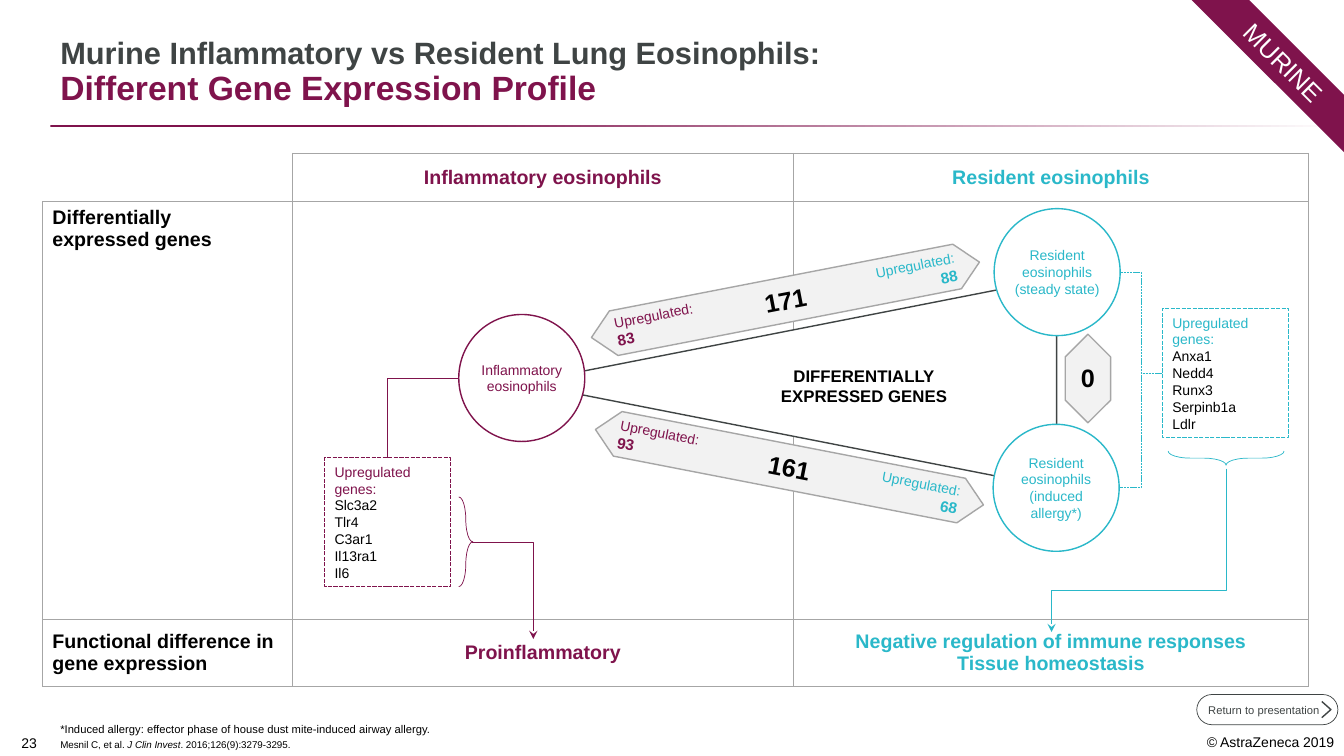
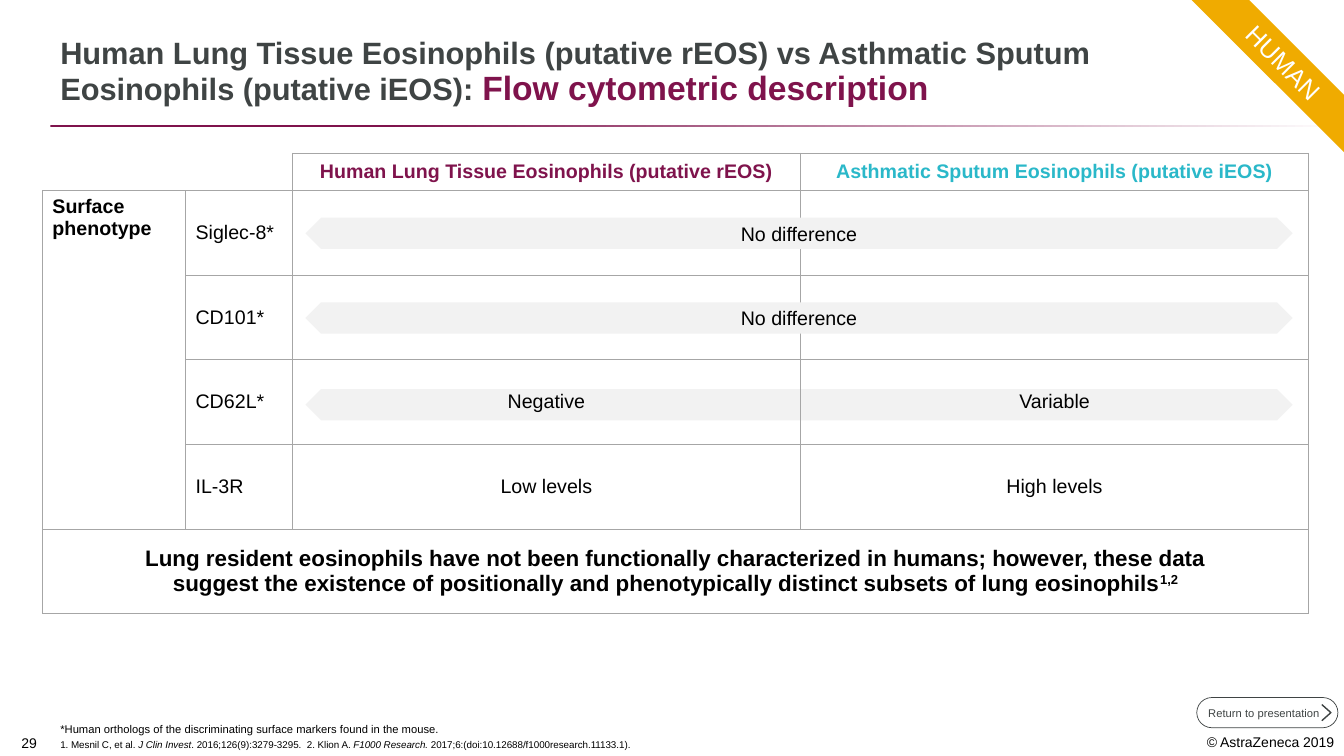
from pptx import Presentation
from pptx.dml.color import RGBColor
from pptx.enum.dml import MSO_LINE
from pptx.enum.shapes import MSO_CONNECTOR, MSO_SHAPE
from pptx.enum.text import MSO_ANCHOR, PP_ALIGN
from pptx.oxml.ns import qn
from pptx.util import Inches, Pt
from lxml.etree import SubElement

# Shared look
FONT = "Arial"
PLUM, TEAL, GOLD = "7F134C", "2AB8C9", "F0AB00"
SLATE, GREY, PALE = "3F4444", "A6A6A6", "F2F2F2"
BLACK, WHITE = "000000", "FFFFFF"
LEFT, MID, RIGHT = PP_ALIGN.LEFT, PP_ALIGN.CENTER, PP_ALIGN.RIGHT
TOP, HALF, BASE = MSO_ANCHOR.TOP, MSO_ANCHOR.MIDDLE, MSO_ANCHOR.BOTTOM
WIDE, HIGH = 13.33, 7.5
GRID_X, GRID_Y = 0.42, 1.52
SIDE = [1.42, 1.06]
BIG = {"size": 24, "tone": PLUM}
SMALL = {"size": 7}
SLANT = {"size": 7, "italic": True}

# Content: a line is a string or a list of (text, style) runs
MURINE = {
    "title": ["Murine Inflammatory vs Resident Lung Eosinophils:",
              [("Different Gene Expression Profile", BIG)]],
    "tag": "MURINE", "tone": PLUM, "number": "23", "button": 6.89,
    "notes": ["*Induced allergy: effector phase of house dust mite-induced airway allergy.",
              [("Mesnil C, et al. ", SMALL), ("J Clin Invest", SLANT),
               (". 2016;126(9):3279-3295.", SMALL)]],
    "cols": SIDE + [4.97, 5.11], "rows": [0.48, 4.14, 0.67],
    "spans": [(1, 0, 1, 1), (2, 0, 2, 1)],
    # row, column, lines, colour, bold, align, anchor
    "cells": [
        (0, 2, ["Inflammatory eosinophils"], PLUM, True, MID, HALF),
        (0, 3, ["Resident eosinophils"], TEAL, True, MID, HALF),
        (1, 0, ["Differentially", "expressed genes"], BLACK, True, LEFT, TOP),
        (2, 0, ["Functional difference in gene expression"], BLACK, True, LEFT, HALF),
        (2, 2, ["Proinflammatory"], PLUM, True, MID, HALF),
        (2, 3, ["Negative regulation of immune responses", "Tissue homeostasis"],
         TEAL, True, MID, HALF)],
}
HUMAN = {
    "title": ["Human Lung Tissue Eosinophils (putative rEOS) vs Asthmatic Sputum",
              [("Eosinophils (putative iEOS): ", {}), ("Flow cytometric description", BIG)]],
    "tag": "HUMAN", "tone": GOLD, "number": "29", "button": 6.92,
    "notes": ["*Human orthologs of the discriminating surface markers found in the mouse.",
              [("1. Mesnil C, et al. ", SMALL), ("J Clin Invest", SLANT),
               (". 2016;126(9):3279-3295.  2. Klion A. ", SMALL), ("F1000 Research. ", SLANT),
               ("2017;6:(doi:10.12688/f1000research.11133.1).", SMALL)]],
    "cols": SIDE + [5.04] * 2, "rows": [0.37] + [0.84] * 5,
    "spans": [(1, 0, 4, 0), (5, 0, 5, 3)],
    "cells": [
        (0, 2, ["Human Lung Tissue Eosinophils (putative rEOS)"], PLUM, True, MID, HALF),
        (0, 3, ["Asthmatic Sputum Eosinophils (putative iEOS)"], TEAL, True, MID, HALF),
        (1, 0, ["Surface phenotype"], BLACK, True, LEFT, TOP),
        *[(r, 1, [name], BLACK, False, LEFT, HALF)
          for r, name in enumerate(["Siglec-8*", "CD101*", "CD62L*", "IL-3R"], 1)],
        (3, 2, ["Negative"], BLACK, False, MID, HALF),
        (3, 3, ["Variable"], BLACK, False, MID, HALF),
        (4, 2, ["Low levels"], BLACK, False, MID, HALF),
        (4, 3, ["High levels"], BLACK, False, MID, HALF),
        (5, 0, [[("Lung resident eosinophils have not been functionally characterized in humans; "
                  "however, these data", {"size": 16})],
                [("suggest the existence of positionally and phenotypically distinct subsets "
                  "of lung eosinophils", {"size": 16}), ("1,2", {"size": 16, "lift": 30000})]],
         BLACK, True, MID, HALF)],
}
CELLS = [  # left, top, lines, colour
    (4.55, 3.12, ["Inflammatory eosinophils"], PLUM),
    (9.86, 2.07, ["Resident eosinophils (steady state)"], TEAL),
    (9.85, 4.21, ["Resident eosinophils (induced allergy*)"], TEAL)]
BARS = [  # left, top, length, angle, count
    (5.83, 2.75, 3.92, 349, "171"), (5.87, 4.41, 3.92, 11, "161"),
    (10.35, 3.53, 0.88, 270, "")]
COUNTS = [  # left, top, angle, count, colour, align
    (6.13, 4.18, 11, "93", PLUM, LEFT), (8.48, 4.64, 11, "68", TEAL, RIGHT),
    (8.45, 2.52, 349, "88", TEAL, RIGHT), (6.1, 2.97, 349, "83", PLUM, LEFT)]
GENES = [  # left, top, colour, names
    (3.22, 4.54, PLUM, ["Slc3a2", "Tlr4", "C3ar1", "Il13ra1", "Il6"]),
    (11.53, 3.06, TEAL, ["Anxa1", "Nedd4", "Runx3", "Serpinb1a", "Ldlr"])]
BRACES = [(4.55, 4.93, 0.89, 0, PLUM), (12.09, 3.97, 1.15, 90, TEAL)]
ROUTES = [
    ([(4.68, 5.38), (5.29, 5.38), (5.29, 6.34)], PLUM),
    ([(12.16, 4.65), (12.16, 5.86), (10.43, 5.86), (10.43, 6.27)], TEAL)]
SAME = [2.16, 3]


def ink(code):
    return RGBColor.from_string(code)


def box(*lengths):
    return [Inches(n) for n in lengths]


def write(frame, lines, size, tone=BLACK, bold=False, align=LEFT, space=None, gap=0):
    for i, line in enumerate(lines):
        para = frame.paragraphs[0] if i == 0 else frame.add_paragraph()
        para.alignment = align
        if space:
            para.line_spacing = space
        if i and gap:
            para.space_before = Pt(gap)
        for text, style in [(line, {})] if isinstance(line, str) else line:
            run = para.add_run()
            run.text = text
            font = run.font
            font.name, font.size = FONT, Pt(style.get("size", size))
            font.bold = style.get("bold", bold)
            font.italic = style.get("italic", False)
            font.color.rgb = ink(style.get("tone", tone))
            if "lift" in style:
                run._r.get_or_add_rPr().set("baseline", str(style["lift"]))


def pad(frame, anchor, inset=None):
    frame.word_wrap = True
    frame.vertical_anchor = anchor
    if inset:
        (frame.margin_left, frame.margin_top,
         frame.margin_right, frame.margin_bottom) = box(*inset)


def label(page, place, lines, size, tone=BLACK, turn=0, anchor=TOP, inset=None, **look):
    item = page.shapes.add_textbox(*box(*place))
    item.rotation = turn
    pad(item.text_frame, anchor, inset)
    write(item.text_frame, lines, size, tone, **look)


def stroke(item, tone, width, dash=False):
    item.line.color.rgb = ink(tone)
    item.line.width = Pt(width)
    if dash:
        item.line.dash_style = MSO_LINE.SQUARE_DOT


def draw(page, kind, place, fill=None, line=None, width=1, turn=0, adj=(), dash=False):
    item = page.shapes.add_shape(kind, *box(*place))
    item.shadow.inherit = False
    item.rotation = turn
    for i, share in enumerate(adj):
        item.adjustments[i] = share
    if fill:
        item.fill.solid()
        item.fill.fore_color.rgb = ink(fill)
    else:
        item.fill.background()
    if line:
        stroke(item, line, width, dash)
    else:
        item.line.fill.background()
    return item


def trace(page, points, tone, width, arrow=False):
    spots = [box(*spot) for spot in points]
    pen = page.shapes.build_freeform(*spots[0])
    pen.add_line_segments(spots[1:], close=False)
    item = pen.convert_to_shape()
    item.shadow.inherit = False
    item.fill.background()
    stroke(item, tone, width)
    if arrow:
        SubElement(item.line._get_or_add_ln(), qn("a:tailEnd"), type="stealth")


def elbow(page, start, end, tone, dash=False):
    link = page.shapes.add_connector(MSO_CONNECTOR.ELBOW, *box(*start, *end))
    stroke(link, tone, 0.5, dash)
    SubElement(link._element.spPr, qn("a:effectLst"))
    return link


def bar(page, place, line=None, turn=0):
    return draw(page, MSO_SHAPE.LEFT_RIGHT_ARROW, place, PALE, line, turn=turn, adj=(1, 0.5))


def edge(cell, sides):
    props = cell._tc.get_or_add_tcPr()
    for side in "LRTB":
        rim = SubElement(props, qn("a:ln" + side), w=str(Pt(0.5)))
        if side in sides:
            SubElement(SubElement(rim, qn("a:solidFill")), qn("a:srgbClr"), val=GREY)
        else:
            SubElement(rim, qn("a:noFill"))
    cell.fill.background()


def table(page, data):
    cols, rows = data["cols"], data["rows"]
    grid = page.shapes.add_table(len(rows), len(cols), *box(
        GRID_X, GRID_Y, sum(cols), sum(rows))).table
    grid.first_row = grid.horz_banding = False
    for part, sizes in ((grid.columns, cols), (grid.rows, rows)):
        for item, size in zip(part, sizes):
            if part is grid.columns or sizes is cols:
                item.width = Inches(size)
            else:
                item.height = Inches(size)
    for r in range(len(rows)):
        for c in range(len(cols)):
            cell = grid.cell(r, c)
            edge(cell, ("B", "RB")[c] if r == 0 and c < 2 else "LRTB")
            cell.margin_top = cell.margin_bottom = 0
    for r, c, down, over in data["spans"]:
        grid.cell(r, c).merge(grid.cell(down, over))
    for r, c, lines, tone, bold, align, anchor in data["cells"]:
        cell = grid.cell(r, c)
        cell.margin_top = cell.margin_bottom = Inches(0.05)
        cell.vertical_anchor = anchor
        write(cell.text_frame, lines, 14, tone, bold, align)


def dress(page, data):
    # Title, rule and footer
    label(page, (0.5, 0.25, 12.33, 0.87), data["title"], 22, SLATE,
          anchor=BASE, bold=True, space=0.9)
    rule = draw(page, MSO_SHAPE.RECTANGLE, (0.5, 1.24, WIDE - 0.5, 0.02))
    rule.fill.gradient()
    rule.fill.gradient_angle = 0
    for stop, (spot, tone) in zip(rule.fill.gradient_stops, [(0.26, PLUM), (1, WHITE)]):
        stop.position = spot
        stop.color.rgb = ink(tone)
    label(page, (11.11, 7.23, 2.22, 0.27), ["© AstraZeneca 2019"], 10, align=RIGHT)
    label(page, (0, 7.21, 0.53, 0.29), [data["number"]], 10, anchor=BASE,
          inset=(0.1, 0.05, 0.05, 0.05), align=MID)
    label(page, (0.5, 6.85, 11, 0.65), data["notes"], 8, anchor=BASE, space=0.9, gap=3)
    # Corner band
    band = draw(page, MSO_SHAPE.DIAGONAL_STRIPE, (11.82, 0, 1.52, 1.52), data["tone"],
                adj=(0.625,))
    band._element.spPr.find(qn("a:xfrm")).set("flipH", "1")
    label(page, (11.94, 0.42, 1.58, 0.4), [data["tag"]], 18, WHITE, turn=45, align=MID)
    # Return button
    top = data["button"]
    pill = draw(page, MSO_SHAPE.ROUNDED_RECTANGLE, (11.87, top, 1.4, 0.3), WHITE, SLATE, 0.5,
                adj=(0.5,))
    pad(pill.text_frame, HALF, (0.07, 0, 0, 0))
    write(pill.text_frame, ["Return to presentation"], 8, SLATE)
    trace(page, [(13.11, top + 0.07), (13.2, top + 0.15), (13.11, top + 0.23)], SLATE, 1)


def murine(page):
    table(page, MURINE)
    dress(page, MURINE)
    # Triangle of cell types
    draw(page, MSO_SHAPE.ISOSCELES_TRIANGLE, (6.79, 1.15, 2.08, 5.3), WHITE, SLATE, turn=270)
    for x, y, lines, tone in CELLS:
        disc = draw(page, MSO_SHAPE.OVAL, (x, y, 1.25, 1.26), WHITE, tone)
        pad(disc.text_frame, HALF, (0, 0, 0, 0))
        write(disc.text_frame, lines, 10, tone, align=MID)
    label(page, (7.21, 3.58, 2.72, 0.5), ["DIFFERENTIALLY", "EXPRESSED GENES"], 12,
          bold=True, align=MID)
    # Gene counts
    for x, y, span, turn, count in BARS:
        item = bar(page, (x, y, span, 0.45), GREY, turn)
        if count:
            pad(item.text_frame, HALF)
            write(item.text_frame, [count], 18, bold=True, align=MID)
    label(page, (10.56, 3.55, 0.46, 0.4), ["0"], 18, bold=True, align=MID)
    for x, y, turn, count, tone, align in COUNTS:
        label(page, (x, y, 1.04, 0.45),
              ["Upregulated:", [(count, {"size": 11, "bold": True})]], 10, tone, turn,
              inset=(0, 0.05, 0, 0.05), align=align)
    # Gene lists and their links
    cards = []
    for x, y, tone, names in GENES:
        card = draw(page, MSO_SHAPE.RECTANGLE, (x, y, 1.25, 1.28), WHITE, tone, dash=True)
        pad(card.text_frame, HALF)
        write(card.text_frame, [[("Upregulated genes:", {"tone": tone})]] + names, 10)
        cards.append(card)
    link = elbow(page, (4.55, 3.75), (3.85, 4.54), PLUM)
    link._element.spPr.find(qn("a:prstGeom")).set("prst", "bentConnector2")
    link.end_connect(cards[0], 0)
    for y in (2.7, 4.84):
        elbow(page, (11.53, 3.7), (11.11, y), TEAL, True).begin_connect(cards[1], 1)
    # Braces and arrows to the outcome row
    for x, y, span, turn, tone in BRACES:
        draw(page, MSO_SHAPE.RIGHT_BRACE, (x, y, 0.14, span), None, tone, 0.5, turn,
             (1.591, 0.5))
    for points, tone in ROUTES:
        trace(page, points, tone, 0.5, True)


def human(page):
    bar(page, (3.03, 3.86, 9.79, 0.31))
    table(page, HUMAN)
    dress(page, HUMAN)
    for y in SAME:
        item = bar(page, (3.03, y, 9.79, 0.31))
        pad(item.text_frame, HALF)
        write(item.text_frame, ["No difference"], 14, align=MID)


def main():
    deck = Presentation()
    deck.slide_width, deck.slide_height = box(WIDE, HIGH)
    for build in (murine, human):
        build(deck.slides.add_slide(deck.slide_layouts[6]))
    deck.save("out.pptx")


if __name__ == "__main__":
    main()
